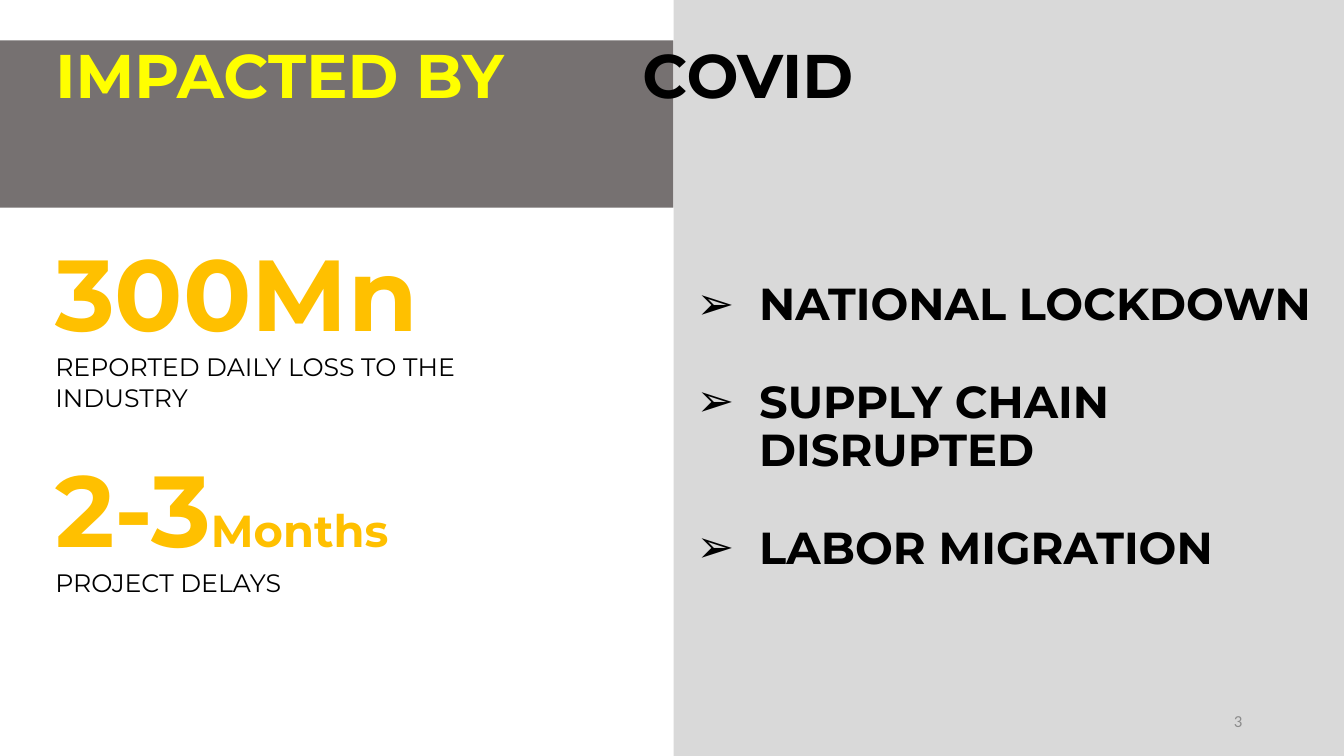
from lxml import etree
from pptx import Presentation
from pptx.dml.color import RGBColor
from pptx.enum import shapes, text
from pptx.oxml.ns import qn
from pptx.util import Inches, Pt

# Content: runs are (text, size, colour, bold)
TITLE = [("IMPACTED BY\t", 44, "FFFF00", True), ("COVID", 44, "000000", True)]
IMPACTS = ["NATIONAL LOCKDOWN", "SUPPLY CHAIN DISRUPTED", "LABOR MIGRATION"]
STATS = [  # top, height, paragraphs
    (2.24, 1.92, [[("300Mn", 72, "FFC000", True)],
                  [("REPORTED DAILY LOSS TO THE INDUSTRY", 18, "000000", False)]]),
    (4.38, 1.62, [[("2-3", 72, "FFC000", True), ("Months", 32, "FFC000", True)],
                  [("PROJECT DELAYS", 18, "000000", False)]]),
]
PAGE_NUMBER = [("3", 12, "8C8C8C", False)]
PANELS = [((0, 0.4, 6.68, 1.66), "767171"), ((6.68, 0, 6.68, 7.5), "D9D9D9")]

LEFT = 0.45
COVID_TAB = 5.82
BULLET_INDENT = 0.62
TOP, MIDDLE = text.MSO_ANCHOR.TOP, text.MSO_ANCHOR.MIDDLE


def rgb(value):
    return RGBColor.from_string(value)


def place(sp, box):
    for name, value in zip(("left", "top", "width", "height"), box):
        setattr(sp, name, Inches(value))


def fill_text(sp, paragraphs, font="Montserrat", anchor=TOP, **formats):
    tf = sp.text_frame
    frame = {"word_wrap": True, "auto_size": text.MSO_AUTO_SIZE.NONE,
             "vertical_anchor": anchor}
    for name, value in frame.items():
        setattr(tf, name, value)
    formats = {"alignment": text.PP_ALIGN.LEFT, "space_before": Pt(0), **formats}
    for i, runs in enumerate(paragraphs):
        p = tf.paragraphs[0] if i == 0 else tf.add_paragraph()
        for name, value in formats.items():
            setattr(p, name, value)
        for words, size, color, bold in runs:
            r = p.add_run()
            r.text = words
            for name, value in {"name": font, "size": Pt(size), "bold": bold}.items():
                setattr(r.font, name, value)
            r.font.color.rgb = rgb(color)
    return tf.paragraphs


prs = Presentation()
prs.slide_width, prs.slide_height = Inches(13.33), Inches(7.5)
s = prs.slides.add_slide(prs.slide_layouts[1])
title, body = s.placeholders

# Background panels, placed behind the placeholders
for i, (box, color) in enumerate(PANELS):
    sp = s.shapes.add_shape(shapes.MSO_SHAPE.RECTANGLE, *map(Inches, box))
    sp.shadow.inherit = False
    sp.fill.solid()
    sp.fill.fore_color.rgb = rgb(color)
    sp.line.fill.background()
    s.shapes._spTree.insert(2 + i, sp._element)

# Title, with a tab stop between its two halves
place(title, (LEFT, 0.4, 11.09, 1.45))
p = fill_text(title, [TITLE], line_spacing=0.9)[0]
tabs = etree.SubElement(p._p.get_or_add_pPr(), qn("a:tabLst"))
etree.SubElement(tabs, qn("a:tab"), pos=str(Inches(COVID_TAB)), algn="l")

# Bulleted impacts
place(body, (6.81, 2.75, 6.34, 3.02))
items = [[(words, 32, "000000", True)] for words in IMPACTS]
for p in fill_text(body, items, line_spacing=0.9, space_after=Pt(35)):
    pPr = p._p.get_or_add_pPr()
    pPr.set("marL", str(Inches(BULLET_INDENT)))
    pPr.set("indent", str(-Inches(BULLET_INDENT)))
    etree.SubElement(pPr, qn("a:buChar"), char="➢")

# Key figures
for top, height, paragraphs in STATS:
    sp = s.shapes.add_textbox(*map(Inches, (LEFT, top, 4.76, height)))
    fill_text(sp, paragraphs)

# Page number
sp = s.shapes.add_textbox(*map(Inches, (9.42, 6.95, 3, 0.4)))
fill_text(sp, [PAGE_NUMBER], "Calibri", MIDDLE, alignment=text.PP_ALIGN.RIGHT)

prs.save("out.pptx")
